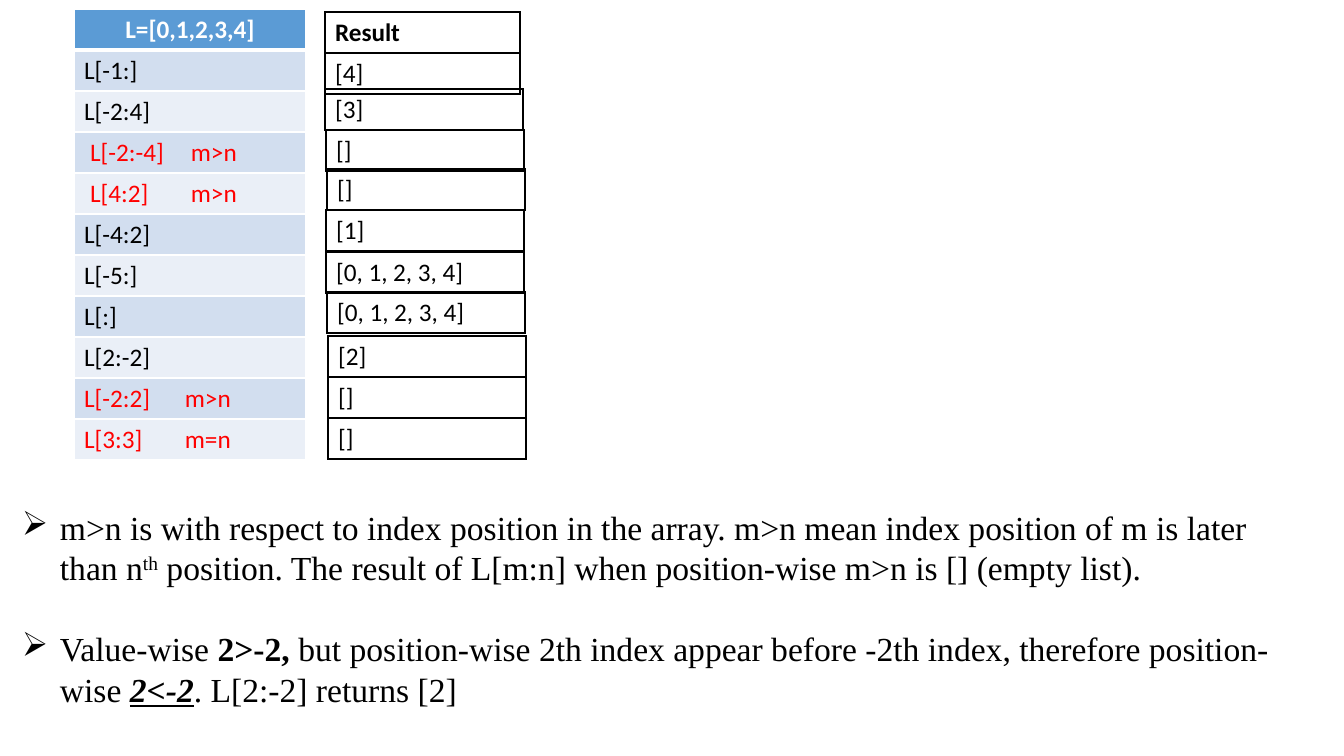
from lxml import etree
from pptx import Presentation
from pptx import util as u
from pptx.dml.color import RGBColor
from pptx.enum import text
from pptx.oxml import ns

SCALE = 914400 / 100.8
ROW_HEIGHT = 41
COLORS = {
    "black": "000000",
    "white": "FFFFFF",
    "red": "FF0000",
    "header": "5B9BD5",
    "odd_row": "D2DEEF",
    "even_row": "EAEFF7",
}

EXPRESSIONS = [
    ("L[-1:]", None),
    ("L[-2:4]", None),
    ("L[-2:-4]\tm>n", (6, 115)),
    ("L[4:2]\tm>n", (6, 115)),
    ("L[-4:2]", None),
    ("L[-5:]", None),
    ("L[:]", None),
    ("L[2:-2]", None),
    ("L[-2:2]\tm>n", (0, 77)),
    ("L[3:3]\tm=n", (0, 77)),
]

RESULT_TABLES = [
    (0, 0, 195, ["Result", "[4]"]),
    (0, 77, 198, ["[3]"]),
    (1, 118, 198, ["[]"]),
    (2, 157, 198, ["[]"]),
    (1, 198, 198, ["[1]"]),
    (1, 240, 198, ["[0, 1, 2, 3, 4]"]),
    (2, 280, 198, ["[0, 1, 2, 3, 4]"]),
    (3, 324, 198, ["[2]", "[]", "[]"]),
]

NOTES = [
    [
        ("m>n is with respect to index position in the array. m>n mean index "
         "position of m is later than n", ""),
        ("th", "superscript"),
        (" position. The result of L[m:n] when position-wise m>n is [] "
         "(empty list).", ""),
    ],
    [
        ("Value-wise ", ""),
        ("2>-2, ", "bold"),
        ("but position-wise 2th index appear before -2th index, therefore "
         "position-wise ", ""),
        ("2<-2", "bold italic underline"),
        (". L[2:-2] returns [2]", ""),
    ],
]


def px(pixels):
    return u.Emu(round(pixels * SCALE))


def rgb(name):
    return RGBColor.from_string(COLORS[name])


def style_font(font, name, size, color, bold=False):
    font.name = name
    font.size = u.Pt(size)
    font.color.rgb = rgb(color)
    font.bold = bold


def set_borders(cell, color, bottom=1):
    properties = cell._tc.get_or_add_tcPr()
    for index, side in enumerate(("lnL", "lnR", "lnT", "lnB")):
        width = bottom if side == "lnB" else 1
        line = etree.Element(ns.qn("a:" + side), w=str(u.Pt(width)))
        solid = etree.SubElement(line, ns.qn("a:solidFill"))
        etree.SubElement(solid, ns.qn("a:srgbClr"), val=COLORS[color])
        properties.insert(index, line)


def add_column_table(slide, left, top, width, rows):
    frame = slide.shapes.add_table(
        rows, 1, px(left), px(top), px(width), px(rows * ROW_HEIGHT))
    table = frame.table
    table.first_row = False
    table.horz_banding = False
    for row in table.rows:
        row.height = px(ROW_HEIGHT)
    return [table.cell(index, 0) for index in range(rows)]


def write_cell(cell, content, color="black", bold=False):
    paragraph = cell.text_frame.paragraphs[0]
    paragraph.text = content
    style_font(paragraph.runs[0].font, "Calibri", 18, color, bold)
    return paragraph


def set_tab(paragraph, indent, position):
    properties = paragraph._p.get_or_add_pPr()
    properties.set("marL", str(px(indent)))
    properties.set("indent", "0")
    tabs = etree.SubElement(properties, ns.qn("a:tabLst"))
    etree.SubElement(tabs, ns.qn("a:tab"), pos=str(px(position)), algn="l")


def add_expressions(slide, left, top, width):
    cells = add_column_table(slide, left, top, width, len(EXPRESSIONS) + 1)
    header = write_cell(cells[0], "L=[0,1,2,3,4]", "white", True)
    header.alignment = text.PP_ALIGN.CENTER
    for index, cell in enumerate(cells):
        fill = "odd_row" if index % 2 else "even_row"
        cell.fill.solid()
        cell.fill.fore_color.rgb = rgb(fill if index else "header")
        set_borders(cell, "white", 1 if index else 3)
    for cell, (expression, tab) in zip(cells[1:], EXPRESSIONS):
        paragraph = write_cell(cell, expression, "red" if tab else "black")
        if tab:
            set_tab(paragraph, *tab)


def add_results(slide, left, top):
    for shift, offset, width, values in RESULT_TABLES:
        cells = add_column_table(
            slide, left + shift, top + offset, width, len(values))
        for cell, value in zip(cells, values):
            write_cell(cell, value, bold=value == "Result")
            cell.fill.background()
            set_borders(cell, "black")


def add_notes(slide, left, top, width, height):
    shape = slide.shapes.add_textbox(px(left), px(top), px(width), px(height))
    frame = shape.text_frame
    frame.word_wrap = True
    for index, note in enumerate(NOTES):
        paragraph = frame.add_paragraph() if index else frame.paragraphs[0]
        if index:
            paragraph.space_before = u.Pt(29)
        properties = paragraph._p.get_or_add_pPr()
        properties.set("marL", str(px(38)))
        properties.set("indent", str(px(-38)))
        etree.SubElement(properties, ns.qn("a:buChar"), char="➢")
        for content, style in note:
            run = paragraph.add_run()
            run.text = content
            style_font(run.font, "Times New Roman", 24, "black", "bold" in style)
            run.font.italic = "italic" in style
            run.font.underline = "underline" in style
            if style == "superscript":
                run._r.get_or_add_rPr().set("baseline", "30000")


presentation = Presentation()
presentation.slide_width = px(1344)
presentation.slide_height = px(756)
slide = presentation.slides.add_slide(presentation.slide_layouts[6])
add_expressions(slide, 74, 9, 232)
add_results(slide, 325, 12)
add_notes(slide, 12, 502, 1285, 254)
presentation.save("out.pptx")
